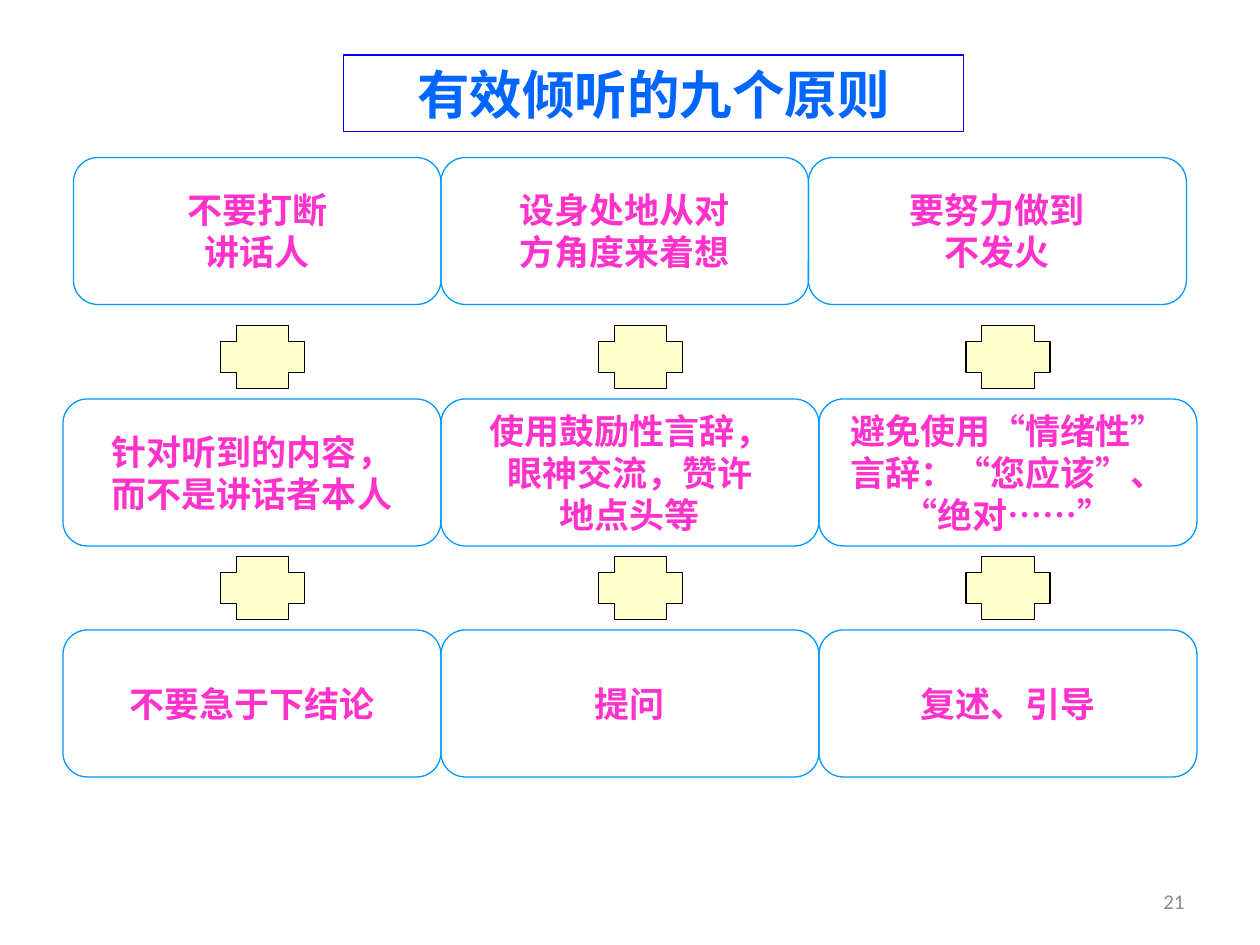
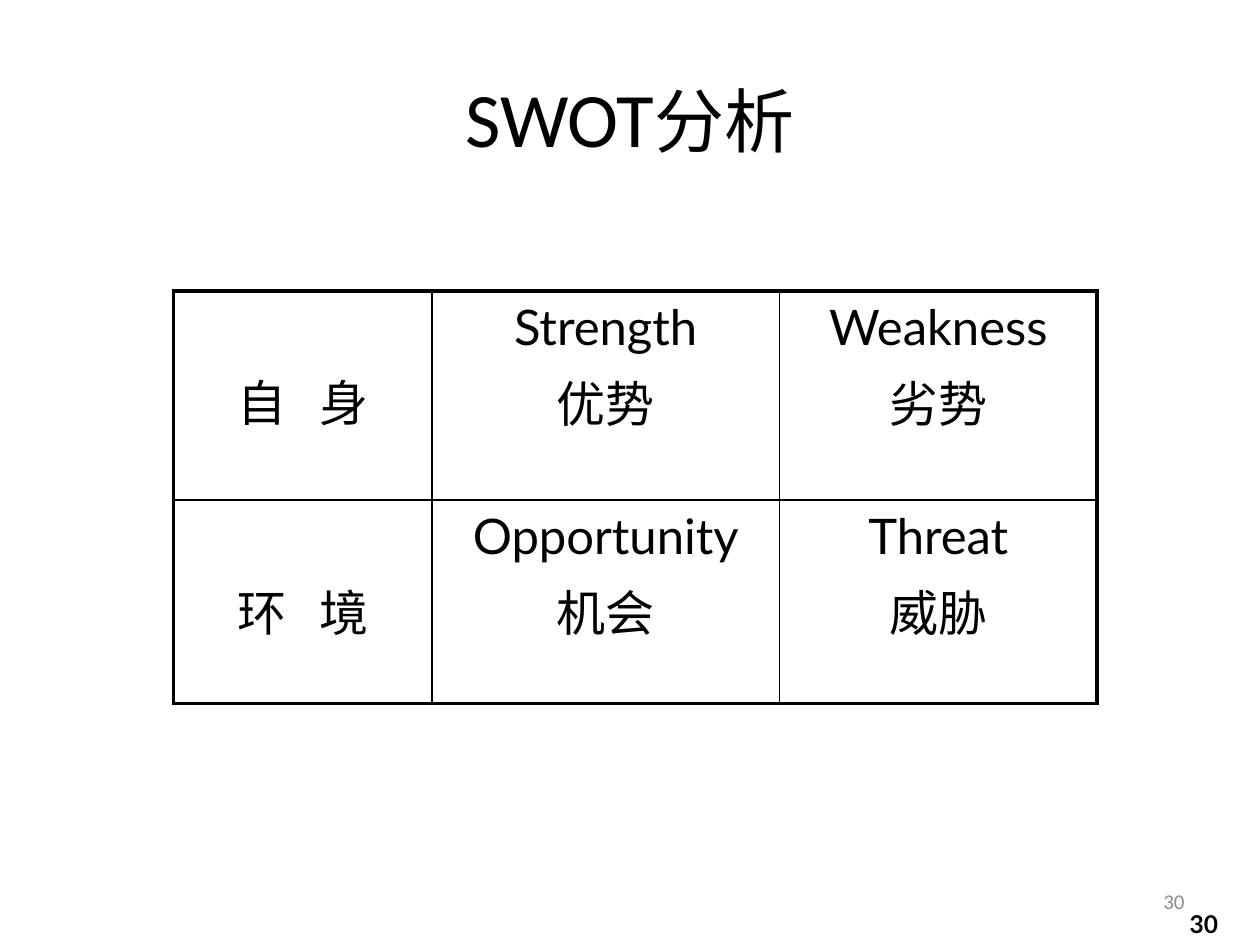
from collections import namedtuple
from itertools import pairwise, product

from lxml import etree
from pptx import Presentation
from pptx import util as u
from pptx.dml.color import RGBColor
from pptx.enum import shapes, text
from pptx.oxml.ns import qn

COLUMNS, ROWS = 120, 90
SLIDE_WIDTH, SLIDE_HEIGHT = u.Inches(10), u.Inches(7.5)
BLACK, GREY, PINK = "000000", "8C8C8C", "FF33CC"
TITLE_BLUE, FRAME_BLUE, CARD_BLUE, CREAM = "0066FF", "0000FF", "0099FF", "FFFFCC"
CHINESE, LATIN, NUMBER = "Noto Sans CJK SC", "Lato", "Calibri"
ALIGN, ANCHOR, SHAPE = text.PP_ALIGN, text.MSO_ANCHOR, shapes.MSO_SHAPE

Box = namedtuple("Box", "left top width height")

PRINCIPLES = [
    ["不要打断\n讲话人", "设身处地从对\n方角度来着想", "要努力做到\n不发火"],
    ["针对听到的内容，\n而不是讲话者本人", "使用鼓励性言辞，\n眼神交流，赞许\n地点头等",
     "避免使用“情绪性”\n言辞：“您应该”、\n“绝对……”"],
    ["不要急于下结论", "提问", "复述、引导"],
]
CARD_EDGES = [(1, 36, 71, 107), (0, 36, 72, 108), (0, 36, 72, 108)]
CARD_TOPS, CARD_HEIGHT = (0, 23, 45), 14
PLUS_LEFTS, PLUS_TOPS = (15, 51, 86), (16, 38)

SWOT = [
    ("自身", [("Strength", "优势"), ("Weakness", "劣势")]),
    ("环境", [("Opportunity", "机会"), ("Threat", "威胁")]),
]


def color(hex_string):
    return RGBColor.from_string(hex_string)


def across(columns):
    return round(SLIDE_WIDTH * columns / COLUMNS)


def down(rows):
    return round(SLIDE_HEIGHT * rows / ROWS)


def place(box):
    return across(box.left), down(box.top), across(box.width), down(box.height)


def add_span(para, words, size, font, hex_string, bold=False):
    span = para.add_run()
    span.text = words
    span.font.size = u.Pt(size)
    span.font.bold = bold
    span.font.color.rgb = color(hex_string)
    span.font.name = font
    properties = span.font._element
    if font == CHINESE:
        properties.set("lang", "zh-CN")
        etree.SubElement(properties, qn("a:ea")).set("typeface", font)
    return span


def add_shape(page, kind, box, line, fill=None):
    shape = page.shapes.add_shape(kind, *place(box))
    shape.shadow.inherit = False
    if fill:
        shape.fill.solid()
        shape.fill.fore_color.rgb = color(fill)
    else:
        shape.fill.background()
    shape.line.color.rgb = color(line)
    shape.line.width = u.Pt(0.75)
    return shape


def add_label(page, box, spans, align, anchor=ANCHOR.MIDDLE):
    frame = page.shapes.add_textbox(*place(box)).text_frame
    frame.word_wrap = True
    frame.vertical_anchor = anchor
    para = frame.paragraphs[0]
    para.alignment = align
    for span in spans:
        add_span(para, *span)


def add_page(deck, number):
    page = deck.slides.add_slide(deck.slide_layouts[6])
    add_label(page, Box(86, 83.4, 28, 4.8), [(number, 12, NUMBER, GREY)], ALIGN.RIGHT)
    return page


def add_framed_title(page, box, words):
    frame = add_shape(page, SHAPE.RECTANGLE, box, FRAME_BLUE).text_frame
    frame.vertical_anchor = ANCHOR.MIDDLE
    para = frame.paragraphs[0]
    para.alignment = ALIGN.CENTER
    add_span(para, words, 30, CHINESE, TITLE_BLUE, True)


def add_card(page, box, words):
    card = add_shape(page, SHAPE.ROUNDED_RECTANGLE, box, CARD_BLUE)
    frame = card.text_frame
    frame.word_wrap = False
    frame.vertical_anchor = ANCHOR.MIDDLE
    para = frame.paragraphs[0]
    para.alignment = ALIGN.CENTER
    para.line_spacing = u.Pt(24)
    for index, line in enumerate(words.split("\n")):
        if index:
            para.add_line_break()
        add_span(para, line, 20, CHINESE, PINK, True)


def add_principles(page, box):
    for row, edges, top in zip(PRINCIPLES, CARD_EDGES, CARD_TOPS):
        for words, (left, right) in zip(row, pairwise(edges)):
            add_card(page, Box(box.left + left, box.top + top, right - left, CARD_HEIGHT), words)
    for top, left in product(PLUS_TOPS, PLUS_LEFTS):
        add_shape(page, SHAPE.CROSS, Box(box.left + left, box.top + top, 8, 6), BLACK, CREAM)


def set_borders(cell, widths):
    properties = cell._tc.get_or_add_tcPr()
    for side, width in widths.items():
        line = etree.SubElement(properties, qn(f"a:ln{side}"), w=str(u.Pt(width)))
        fill = etree.SubElement(line, qn("a:solidFill"))
        etree.SubElement(fill, qn("a:srgbClr"), val=BLACK)


def fill_heading(cell, words):
    cell.margin_top = u.Inches(0.59)
    para = cell.text_frame.paragraphs[0]
    para.alignment = ALIGN.CENTER
    first, second = words
    add_span(para, first, 28, CHINESE, BLACK)
    gap = add_span(para, " ", 28, CHINESE, BLACK)
    gap.font._element.set("spc", "1250")
    add_span(para, second, 28, CHINESE, BLACK)


def fill_factor(cell, english, chinese):
    frame = cell.text_frame
    para = frame.paragraphs[0]
    para.alignment = ALIGN.CENTER
    add_span(para, english, 28, LATIN, BLACK)
    para = frame.add_paragraph()
    para.alignment = ALIGN.CENTER
    para.space_before = u.Pt(5.6)
    add_span(para, chinese, 28, CHINESE, BLACK)


def add_swot_table(page, box):
    table = page.shapes.add_table(2, 3, *place(box)).table
    table.first_row = table.horz_banding = False
    for column, share in zip(table.columns, (0.28, 0.376, 0.344)):
        column.width = across(box.width * share)
    for row, share in zip(table.rows, (0.507, 0.493)):
        row.height = down(box.height * share)
    for r, (heading, factors) in enumerate(SWOT):
        fill_heading(table.cell(r, 0), heading)
        for c, factor in enumerate(factors, 1):
            fill_factor(table.cell(r, c), *factor)
    for r, c in product(range(2), range(3)):
        cell = table.cell(r, c)
        outer = {"L": c == 0, "R": c == 2, "T": r == 0, "B": r == 1}
        set_borders(cell, {side: 2.25 if edge else 1 for side, edge in outer.items()})
        cell.fill.background()


def build_principles_page(deck):
    page = add_page(deck, "21")
    add_framed_title(page, Box(32.75, 5.25, 59, 7.3), "有效倾听的九个原则")
    add_principles(page, Box(6, 15, 108, 59))


def build_swot_page(deck):
    page = add_page(deck, "30")
    add_label(page, Box(92.2, 84, 25, 6), [("30", 14, LATIN, BLACK, True)],
              ALIGN.RIGHT, ANCHOR.BOTTOM)
    add_label(page, Box(6, 3.6, 108, 15),
              [("SWOT", 44, NUMBER, BLACK), ("分析", 40, CHINESE, BLACK)], ALIGN.CENTER)
    add_swot_table(page, Box(16.5, 27.7, 88, 39.3))


def main():
    deck = Presentation()
    deck.slide_width, deck.slide_height = SLIDE_WIDTH, SLIDE_HEIGHT
    build_principles_page(deck)
    build_swot_page(deck)
    deck.save("out.pptx")


if __name__ == "__main__":
    main()
